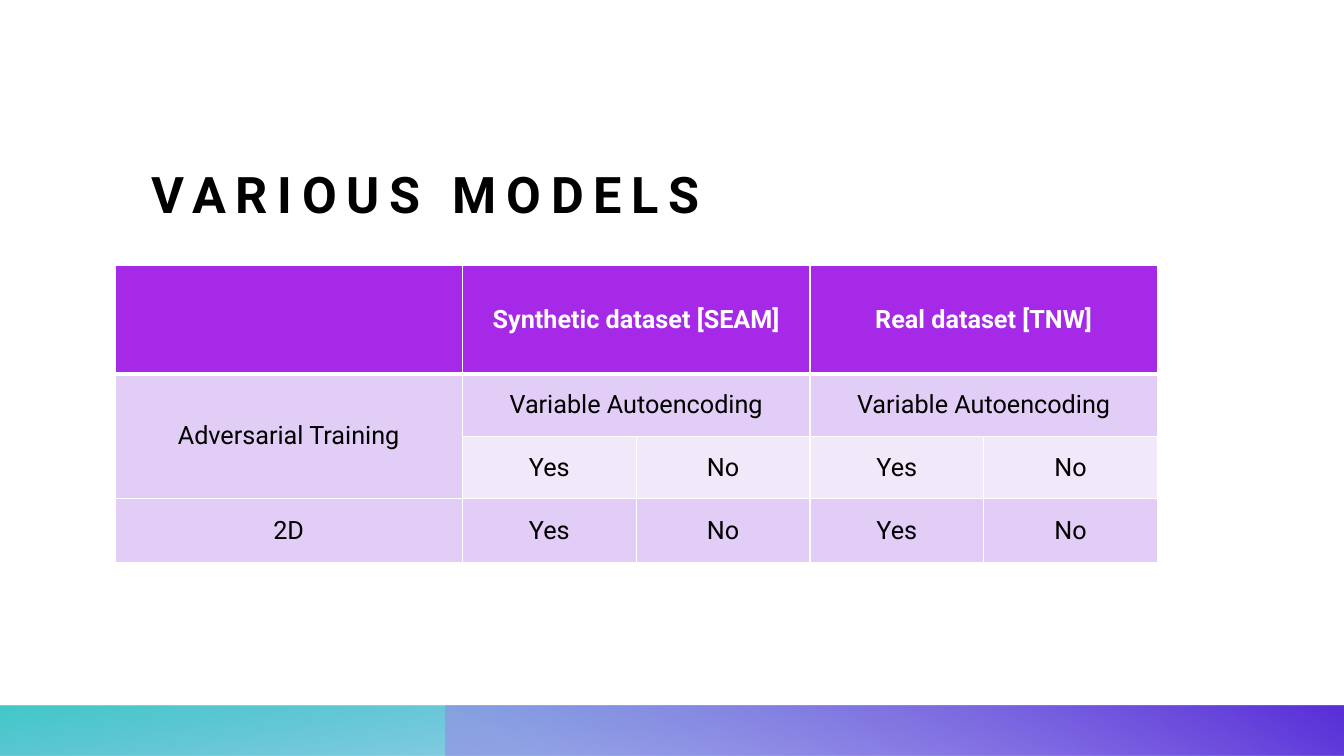
from dataclasses import dataclass

from lxml import etree
from pptx import Presentation
from pptx.dml.color import RGBColor
from pptx.enum.shapes import MSO_SHAPE
from pptx.enum.text import MSO_ANCHOR, PP_ALIGN
from pptx.oxml.ns import qn
from pptx.util import Inches, Pt

RECTANGLE = MSO_SHAPE.RECTANGLE
MIDDLE, BOTTOM = MSO_ANCHOR.MIDDLE, MSO_ANCHOR.BOTTOM
LEFT, CENTER = PP_ALIGN.LEFT, PP_ALIGN.CENTER

BLACK = RGBColor(0x00, 0x00, 0x00)
WHITE = RGBColor(0xFF, 0xFF, 0xFF)
PURPLE = RGBColor(0xA6, 0x29, 0xE7)
LILAC = RGBColor(0xE1, 0xCD, 0xF6)
PALE_LILAC = RGBColor(0xF1, 0xE8, 0xFA)
BLUE = RGBColor(0x17, 0x87, 0xD5)
TEAL = RGBColor(0x22, 0xBF, 0xBE)
LAVENDER = RGBColor(0x9B, 0x82, 0xE8)
VIOLET = RGBColor(0x59, 0x2F, 0xD9)

FONT = "Roboto"
SLIDE_WIDTH, SLIDE_HEIGHT = 13.33, 7.5
BAR_HEIGHT = 0.5
TABLE_LEFT, TABLE_TOP, TABLE_WIDTH = 1.14, 2.63, 10.34
COLUMN_SHARES = [2, 1, 1, 1, 1]
ROW_HEIGHTS = [1.08, 0.62, 0.62, 0.63]
ROW_FILLS = [PURPLE, LILAC, PALE_LILAC, LILAC]


@dataclass
class Stop:
    position: float
    color: RGBColor
    opacity: int = 100


@dataclass
class Bar:
    left: float
    angle: float
    stops: list[Stop]


@dataclass
class Entry:
    row: int
    column: int
    text: str
    rows: int = 1
    columns: int = 1


BARS = [
    Bar(0, 100, [Stop(0.14, BLUE, 28), Stop(1, TEAL, 85)]),
    Bar(4.42, 60, [Stop(0.09, LAVENDER, 55), Stop(0.99, VIOLET)]),
]

ENTRIES = [
    Entry(0, 1, "Synthetic dataset [SEAM]", columns=2),
    Entry(0, 3, "Real dataset [TNW]", columns=2),
    Entry(1, 0, "Adversarial Training", rows=2),
    Entry(1, 1, "Variable Autoencoding", columns=2),
    Entry(1, 3, "Variable Autoencoding", columns=2),
    Entry(3, 0, "2D"),
] + [
    Entry(row, column, "Yes" if column % 2 else "No")
    for row in (2, 3)
    for column in range(1, 5)
]


def write_text(frame, text: str, *, size: float, color: RGBColor = BLACK,
               bold: bool = False, align=LEFT, spacing: float = 0) -> None:
    para = frame.paragraphs[0]
    para.alignment = align
    span = para.add_run()
    span.text = text
    span.font.name = FONT
    span.font.size = Pt(size)
    span.font.bold = bold
    span.font.color.rgb = color
    if spacing:
        span.font._element.set("spc", str(round(spacing * 100)))


def draw_bar(page, bar: Bar) -> None:
    shape = page.shapes.add_shape(
        RECTANGLE, Inches(bar.left), Inches(SLIDE_HEIGHT - BAR_HEIGHT),
        Inches(SLIDE_WIDTH - bar.left), Inches(BAR_HEIGHT))
    shape.shadow.inherit = False
    shape.line.fill.background()
    shape.fill.gradient()
    shape.fill.gradient_angle = bar.angle
    for target, stop in zip(shape.fill.gradient_stops, bar.stops):
        target.position = stop.position
        target.color.rgb = stop.color
    for element, stop in zip(shape._element.spPr.iter(qn("a:srgbClr")), bar.stops):
        etree.SubElement(element, qn("a:alpha"), val=str(stop.opacity * 1000))


def draw_title(page, text: str) -> None:
    box = page.shapes.add_textbox(Inches(1.5), Inches(0.87), Inches(11.2), Inches(1.35))
    frame = box.text_frame
    frame.word_wrap = True
    frame.vertical_anchor = BOTTOM
    frame.margin_left = frame.margin_right = 0
    frame.margin_top = frame.margin_bottom = 0
    write_text(frame, text, size=36, bold=True, spacing=7)


def set_borders(cell, *, top: float, bottom: float) -> None:
    properties = cell._tc.get_or_add_tcPr()
    widths = {"a:lnL": 1, "a:lnR": 1, "a:lnT": top, "a:lnB": bottom}
    for index, (tag, width) in enumerate(widths.items()):
        line = etree.Element(qn(tag), w=str(Pt(width)))
        fill = etree.SubElement(line, qn("a:solidFill"))
        etree.SubElement(fill, qn("a:srgbClr"), val=str(WHITE))
        properties.insert(index, line)


def draw_table(page) -> None:
    frame = page.shapes.add_table(
        len(ROW_HEIGHTS), len(COLUMN_SHARES), Inches(TABLE_LEFT), Inches(TABLE_TOP),
        Inches(TABLE_WIDTH), Inches(sum(ROW_HEIGHTS)))
    table = frame.table
    for column, share in zip(table.columns, COLUMN_SHARES):
        column.width = Inches(TABLE_WIDTH * share / sum(COLUMN_SHARES))
    for index, (height, color) in enumerate(zip(ROW_HEIGHTS, ROW_FILLS)):
        table.rows[index].height = Inches(height)
        for cell in table.rows[index].cells:
            cell.fill.solid()
            cell.fill.fore_color.rgb = color
            cell.vertical_anchor = MIDDLE
            set_borders(cell, top=3 if index == 1 else 1, bottom=3 if index == 0 else 1)
    for entry in ENTRIES:
        cell = table.cell(entry.row, entry.column)
        if entry.rows > 1 or entry.columns > 1:
            cell.merge(table.cell(entry.row + entry.rows - 1,
                                  entry.column + entry.columns - 1))
        header = entry.row == 0
        write_text(cell.text_frame, entry.text, size=18, bold=header, align=CENTER,
                   color=WHITE if header else BLACK)


def main() -> None:
    deck = Presentation()
    deck.slide_width = Inches(SLIDE_WIDTH)
    deck.slide_height = Inches(SLIDE_HEIGHT)
    page = deck.slides.add_slide(deck.slide_layouts[6])
    for bar in BARS:
        draw_bar(page, bar)
    draw_title(page, "VARIOUS MODELS")
    draw_table(page)
    deck.save("out.pptx")


if __name__ == "__main__":
    main()
